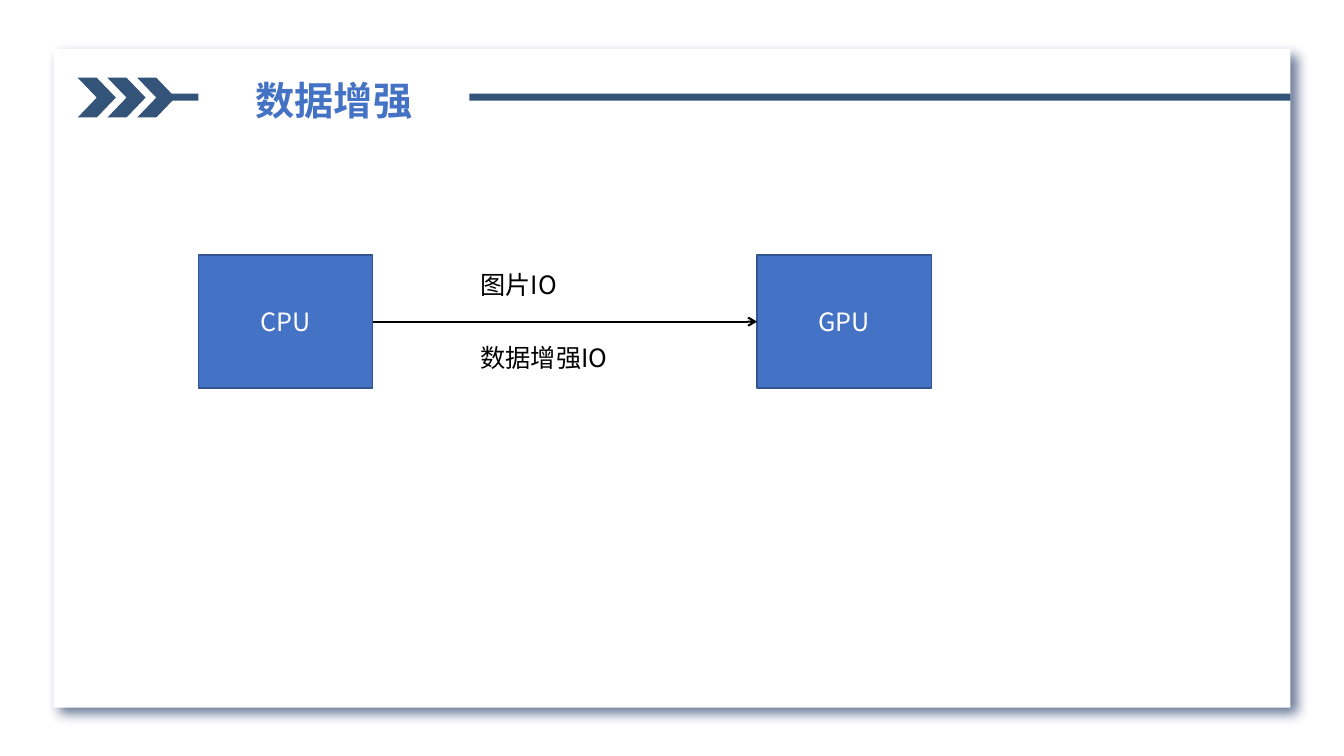
import pptx
import pptx.util
import pptx.dml.color
import pptx.enum.shapes
import pptx.enum.text
import pptx.oxml
import pptx.oxml.ns
from lxml import etree

Cm, Pt = pptx.util.Cm, pptx.util.Pt
RGBColor = pptx.dml.color.RGBColor
qn = pptx.oxml.ns.qn
RECT = pptx.enum.shapes.MSO_SHAPE.RECTANGLE
ALIGN = pptx.enum.text.PP_ALIGN
ANCHOR = pptx.enum.text.MSO_ANCHOR

WHITE = RGBColor(0xFF, 0xFF, 0xFF)
BLACK = RGBColor(0, 0, 0)
NAVY = RGBColor(0x33, 0x53, 0x79)
BLUE = RGBColor(0x44, 0x72, 0xC4)
EDGE = RGBColor(0x32, 0x54, 0x91)
FONT = "Noto Sans CJK SC"

deck = pptx.Presentation()
deck.slide_width, deck.slide_height = Cm(33.87), Cm(19.05)
slide = deck.slides.add_slide(deck.slide_layouts[6])
shapes = slide.shapes


def add_rect(x, y, w, h, fill):
    rect = shapes.add_shape(RECT, Cm(x), Cm(y), Cm(w), Cm(h))
    rect.shadow.inherit = False
    rect.fill.solid()
    rect.fill.fore_color.rgb = fill
    rect.line.fill.background()
    return rect


def set_text(shape, text, size, color, align, anchor, bold=False):
    frame = shape.text_frame
    frame.word_wrap = True
    frame.vertical_anchor = anchor
    para = frame.paragraphs[0]
    para.text = text
    para.alignment = align
    font = para.font
    font.size, font.bold = Pt(size), bold
    font.color.rgb = color
    font.name = FONT
    # East Asian typeface follows the Latin one
    latin = para._p.pPr.find(".//" + qn("a:latin"))
    east = etree.Element(qn("a:ea"), typeface=FONT)
    latin.addnext(east)


# White card with a soft shadow
card = add_rect(1.35, 1.24, 31.17, 16.59, WHITE)
effects = card._element.spPr.find(qn("a:effectLst"))
effects.append(pptx.oxml.parse_xml(
    f'<a:outerShdw {pptx.oxml.ns.nsdecls("a")} blurRad="{Pt(9)}" '
    f'dist="{Pt(7)}" dir="2700000" algn="tl" rotWithShape="0">'
    '<a:srgbClr val="203864"><a:alpha val="67000"/></a:srgbClr>'
    '</a:outerShdw>'))

# Header bar and triple chevron
add_rect(4.09, 2.36, 28.43, 0.18, NAVY)
left, top, half, step = 1.96, 1.96, 0.48, 0.75
build = shapes.build_freeform(Cm(left), Cm(top))
for i in range(3):
    x = left + i * step
    if i:
        build.move_to(Cm(x), Cm(top))
    build.add_line_segments([
        (Cm(x + dx * half), Cm(top + dy * 0.5))
        for dx, dy in [(1, 0), (2, 1), (1, 2), (0, 2), (1, 1)]])
arrows = build.convert_to_shape()
arrows.shadow.inherit = False
arrows.fill.solid()
arrows.fill.fore_color.rgb = NAVY
arrows.line.fill.background()

# Title over the bar
title = add_rect(5, 1.8, 6.83, 1.45, WHITE)
set_text(title, "数据增强", 28, BLUE, ALIGN.CENTER, ANCHOR.TOP, True)

# Processor boxes
nodes = []
for name, x in [("CPU", 5), ("GPU", 19.08)]:
    node = add_rect(x, 6.43, 4.39, 3.35, BLUE)
    node.line.color.rgb = EDGE
    node.line.width = Pt(1)
    set_text(node, name, 18, WHITE, ALIGN.CENTER, ANCHOR.MIDDLE)
    nodes.append(node)

# Arrow from CPU to GPU
link = shapes.add_connector(
    pptx.enum.shapes.MSO_CONNECTOR.STRAIGHT, 0, 0, 0, 0)
link.begin_connect(nodes[0], 3)
link.end_connect(nodes[1], 1)
link.line.color.rgb = BLACK
link.line.width = Pt(1.5)
etree.SubElement(link.line._get_or_add_ln(), qn("a:tailEnd"), type="arrow")
etree.SubElement(link._element.spPr, qn("a:effectLst"))

# Labels above and below the arrow
for label, y in [("图片IO", 6.65), ("数据增强IO", 8.51)]:
    box = shapes.add_textbox(Cm(11.86), Cm(y), Cm(5.46), Cm(1.02))
    set_text(box, label, 18, BLACK, ALIGN.LEFT, ANCHOR.TOP)

deck.save("out.pptx")
